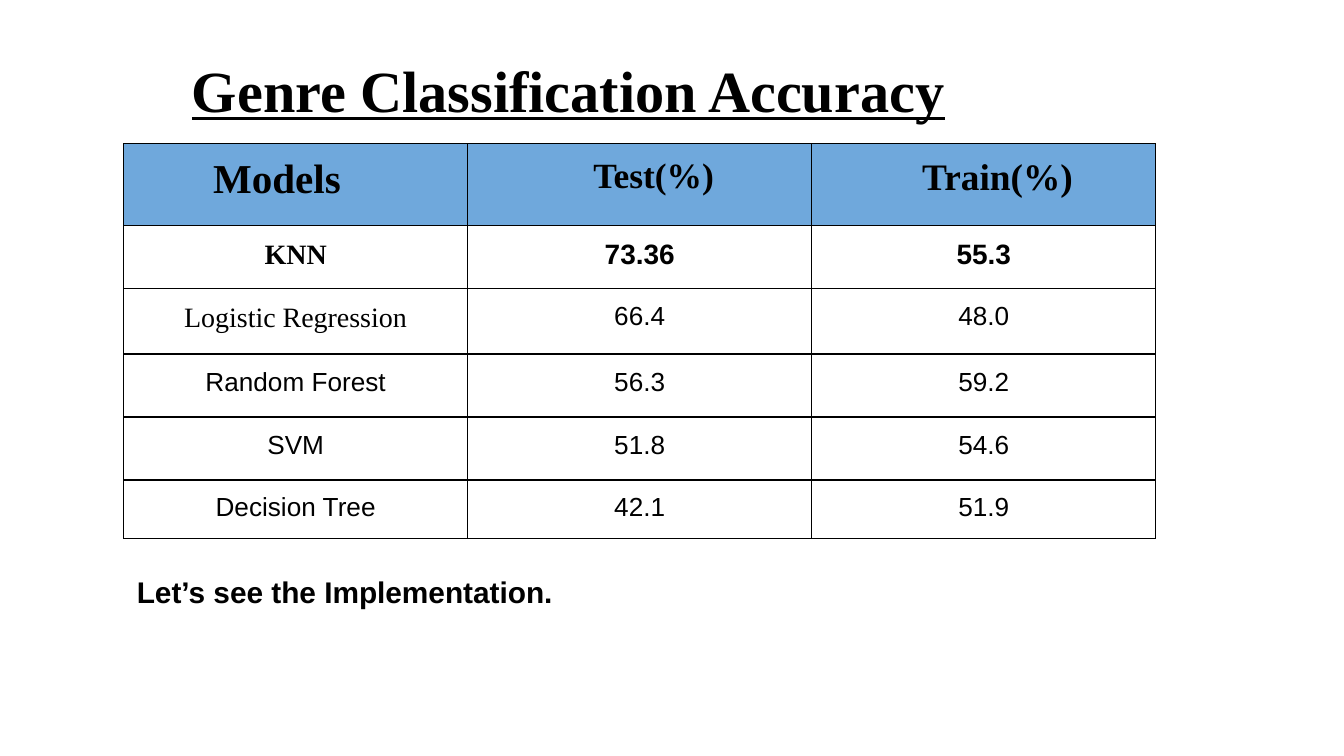
from lxml import etree
from pptx import Presentation
from pptx.dml.color import RGBColor
from pptx.enum import text
from pptx.oxml import ns
from pptx.util import Pt

SERIF, SANS = "Times New Roman", "Arial"
BLACK, BLUE = "000000", "6FA8DC"
CENTER, LEFT = text.PP_ALIGN.CENTER, text.PP_ALIGN.LEFT
INSET = 7.2

# Content
TITLE = "Genre Classification Accuracy"
CLOSING = "Let’s see the Implementation."
# Header: text, size, alignment, left inset
HEADER = [
    ("Models", 22, LEFT, 48),
    ("Test(%)", 19, CENTER, 22),
    ("Train(%)", 20, CENTER, 22),
]
# Model, test, train, then the format of the name and of the values
BEST = dict(size=15, bold=True)
PLAIN = dict(size=14)
RESULTS = [
    ("KNN", "73.36", "55.3", dict(BEST, font=SERIF), BEST),
    ("Logistic Regression", "66.4", "48.0", dict(size=15, font=SERIF), PLAIN),
    ("Random Forest", "56.3", "59.2", PLAIN, PLAIN),
    ("SVM", "51.8", "54.6", PLAIN, PLAIN),
]
LAST_RESULT = ("Decision Tree", "42.1", "51.9", PLAIN, PLAIN)

# Layout
TABLE_LEFT, COL_WIDTH = 66.24, 184.32
MAIN_TOP, MAIN_HEIGHTS = 77.04, [43.9, 33.8, 34.9, 33.8, 33.8]
LAST_TOP, LAST_HEIGHT = 257.04, 30.24


def color(value):
    return RGBColor.from_string(value)


def write(tf, content, size=14, font=SANS, bold=False, underline=False, align=LEFT):
    p = tf.paragraphs[0]
    p.alignment = align
    r = p.add_run()
    r.text = content
    r.font.size, r.font.name = Pt(size), font
    r.font.bold, r.font.underline = bold, underline
    r.font.color.rgb = color(BLACK)


def set_insets(box, left=INSET, top=INSET):
    box.margin_left, box.margin_top = Pt(left), Pt(top)
    box.margin_right = box.margin_bottom = Pt(INSET)


def add_text(s, content, left, top, width, height, inset_top=INSET, **style):
    tf = s.shapes.add_textbox(Pt(left), Pt(top), Pt(width), Pt(height)).text_frame
    tf.word_wrap = True
    set_insets(tf, top=inset_top)
    write(tf, content, **style)


def add_grid(s, top, heights):
    tbl = s.shapes.add_table(len(heights), 3, Pt(TABLE_LEFT), Pt(top),
                             Pt(3 * COL_WIDTH), Pt(sum(heights))).table
    tbl.first_row = tbl.horz_banding = False
    for col in tbl.columns:
        col.width = Pt(COL_WIDTH)
    for row, height in zip(tbl.rows, heights):
        row.height = Pt(height)
    for cell in tbl.iter_cells():
        set_insets(cell)
        # Borders come before the fill in the cell properties
        for side in ("a:lnL", "a:lnR", "a:lnT", "a:lnB"):
            ln = etree.SubElement(cell._tc.get_or_add_tcPr(), ns.qn(side),
                                  w=str(Pt(0.75)))
            fill = etree.SubElement(ln, ns.qn("a:solidFill"))
            etree.SubElement(fill, ns.qn("a:srgbClr"), val=BLACK)
        cell.fill.background()
    return tbl


def fill_result(tbl, row, result):
    *values, name_style, value_style = result
    styles = [name_style, value_style, value_style]
    for col, (value, style) in enumerate(zip(values, styles)):
        write(tbl.cell(row, col).text_frame, value, align=CENTER, **style)


prs = Presentation()
prs.slide_width, prs.slide_height = Pt(720), Pt(405)
s = prs.slides.add_slide(prs.slide_layouts[6])

# Title
add_text(s, TITLE, 95.76, 18, 671, 45.4, inset_top=11,
         size=31.2, font=SERIF, bold=True, underline=True)

# Main table
main = add_grid(s, MAIN_TOP, MAIN_HEIGHTS)
for col, (label, size, align, inset) in enumerate(HEADER):
    cell = main.cell(0, col)
    cell.fill.solid()
    cell.fill.fore_color.rgb = color(BLUE)
    set_insets(cell, left=inset)
    write(cell.text_frame, label, size=size, font=SERIF, bold=True, align=align)
for row, result in enumerate(RESULTS, start=1):
    fill_result(main, row, result)

# Separate table for the last model
fill_result(add_grid(s, LAST_TOP, [LAST_HEIGHT]), 0, LAST_RESULT)

# Closing line
add_text(s, CLOSING, TABLE_LEFT, 300.24, 441.4, 33.8, size=16, bold=True)

prs.save("out.pptx")
